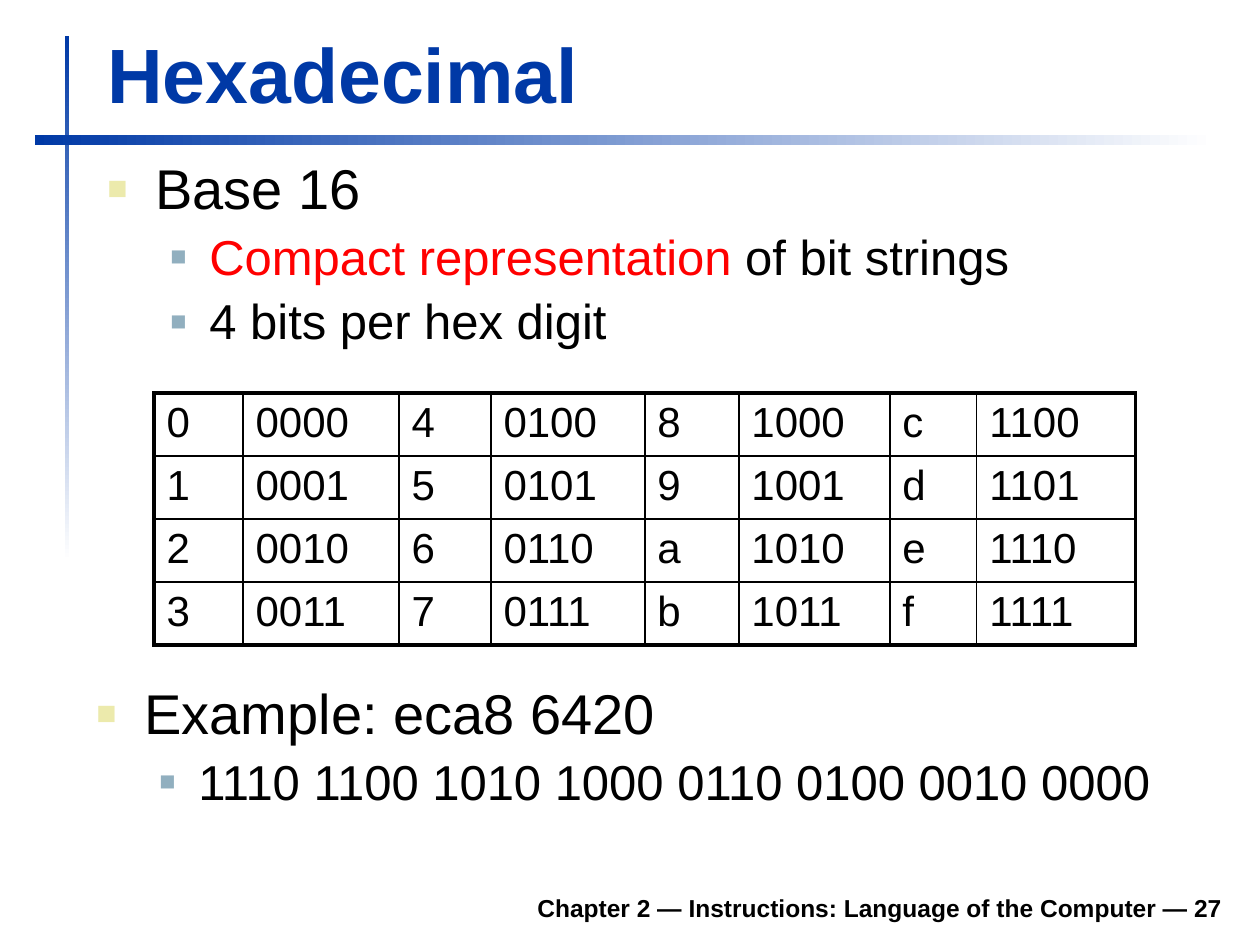
"""Builds the slide that introduces hexadecimal notation."""
from lxml import etree
from pptx import Presentation
from pptx.dml.color import RGBColor
from pptx.enum.shapes import MSO_SHAPE
from pptx.enum.text import MSO_ANCHOR, PP_ALIGN
from pptx.oxml.ns import qn
from pptx.util import Emu, Pt

RECTANGLE = MSO_SHAPE.RECTANGLE
BOTTOM = MSO_ANCHOR.BOTTOM
LEFT, RIGHT = PP_ALIGN.LEFT, PP_ALIGN.RIGHT

BLUE = RGBColor(0x00, 0x39, 0xA6)
WHITE = RGBColor(0xFF, 0xFF, 0xFF)
BLACK = RGBColor(0x00, 0x00, 0x00)
RED = RGBColor(0xFF, 0x00, 0x00)
CREAM = RGBColor(0xEC, 0xEA, 0xAC)
STEEL = RGBColor(0x91, 0xAF, 0xBF)

FONT = "Arial"
LEVELS = [
    {"size": 32, "margin": 48, "hanging": 48, "color": CREAM, "bullet": 60},
    {"size": 28, "margin": 102, "hanging": 39, "color": STEEL, "bullet": 55},
]
COLUMN_WIDTHS = [89, 156, 92, 154, 94, 151, 87, 159]
COLUMN_EDGES = [2.25, 1, 1.5, 1, 1.5, 1, 1.5, 1, 2.25]
ROW_EDGES = [2.25, 1, 1, 1, 2.25]
ROW_COUNT = 4
ROW_HEIGHT = 52


def px(length):
    """Turn pixels into EMU."""
    return Emu(round(length * 914400 / 126))


def box(*lengths):
    """Turn left, top, width and height into EMU."""
    return [px(length) for length in lengths]


def style(paragraph, size, color=BLACK, bold=False):
    """Set the font of a whole paragraph."""
    font = paragraph.font
    font.name, font.size, font.bold = FONT, Pt(size), bold
    font.color.rgb = color


def add_gradient_bar(slide, place, angle):
    """Add a bar that fades from blue to white."""
    shape = slide.shapes.add_shape(RECTANGLE, *box(*place))
    shape.shadow.inherit = False
    shape.line.fill.background()
    shape.fill.gradient()
    shape.fill.gradient_angle = angle
    for stop, color in zip(shape.fill.gradient_stops, (BLUE, WHITE)):
        stop.color.rgb = color


def add_text_frame(slide, place):
    """Add a wrapping text box and return its frame."""
    frame = slide.shapes.add_textbox(*box(*place)).text_frame
    frame.word_wrap = True
    return frame


def add_line(slide, place, text, size, color, alignment):
    """Add one bold line that rests on the bottom of its box."""
    frame = add_text_frame(slide, place)
    frame.vertical_anchor = BOTTOM
    paragraph = frame.paragraphs[0]
    paragraph.text = text
    paragraph.alignment = alignment
    style(paragraph, size, color, bold=True)


def set_bullet(paragraph, level):
    """Give a paragraph the square bullet and indent of its level."""
    properties = paragraph._p.get_or_add_pPr()
    properties.set("marL", str(px(level["margin"])))
    properties.set("indent", str(-px(level["hanging"])))
    color = etree.SubElement(properties, qn("a:buClr"))
    etree.SubElement(color, qn("a:srgbClr"), val=str(level["color"]))
    etree.SubElement(properties, qn("a:buSzPct"), val=str(level["bullet"] * 1000))
    etree.SubElement(properties, qn("a:buFont"), typeface=FONT)
    etree.SubElement(properties, qn("a:buChar"), char="■")


def add_bullets(slide, place, items):
    """Add bulleted paragraphs from (level, [(text, color), ...]) items."""
    frame = add_text_frame(slide, place)
    for index, (depth, runs) in enumerate(items):
        level = LEVELS[depth]
        paragraph = frame.add_paragraph() if index else frame.paragraphs[0]
        paragraph.level = depth
        paragraph.line_spacing = 0.9
        paragraph.space_before = Pt(6.5 if index else 0)
        set_bullet(paragraph, level)
        style(paragraph, level["size"])
        for text, color in runs:
            run = paragraph.add_run()
            run.text = text
            run.font.color.rgb = color


def set_borders(cell, row, column):
    """Draw the four borders of a cell by its place in the grid."""
    properties = cell._tc.get_or_add_tcPr()
    widths = {
        "a:lnL": COLUMN_EDGES[column],
        "a:lnR": COLUMN_EDGES[column + 1],
        "a:lnT": ROW_EDGES[row],
        "a:lnB": ROW_EDGES[row + 1],
    }
    for tag, width in widths.items():
        line = etree.SubElement(properties, qn(tag), w=str(Pt(width)))
        fill = etree.SubElement(line, qn("a:solidFill"))
        etree.SubElement(fill, qn("a:srgbClr"), val=str(BLACK))


def add_digit_table(slide, left, top):
    """Add the table of hex digits and their bit patterns."""
    place = box(left, top, sum(COLUMN_WIDTHS), ROW_HEIGHT * ROW_COUNT)
    table = slide.shapes.add_table(ROW_COUNT, len(COLUMN_WIDTHS), *place).table
    table.first_row = table.horz_banding = False
    for column, width in enumerate(COLUMN_WIDTHS):
        table.columns[column].width = px(width)
        for row in range(ROW_COUNT):
            digit = column // 2 * ROW_COUNT + row
            cell = table.cell(row, column)
            cell.text = f"{digit:04b}" if column % 2 else f"{digit:x}"
            style(cell.text_frame.paragraphs[0], 24)
            set_borders(cell, row, column)
            cell.fill.background()


def main():
    """Build and save the slide."""
    presentation = Presentation()
    presentation.slide_width, presentation.slide_height = px(1260), px(945)
    slide = presentation.slides.add_slide(presentation.slide_layouts[6])
    add_gradient_bar(slide, (65, 36, 4, 525), 270)
    add_gradient_bar(slide, (35, 135, 1180, 10), 0)
    add_line(slide, (233, 880, 1002, 49),
             "Chapter 2 — Instructions: Language of the Computer — 27",
             14, BLACK, RIGHT)
    add_line(slide, (95, 20, 1138, 105), "Hexadecimal", 44, BLUE, LEFT)
    add_bullets(slide, (95, 155, 1140, 218), [
        (0, [("Base 16", BLACK)]),
        (1, [("Compact representation ", RED), ("of bit strings", BLACK)]),
        (1, [("4 bits per hex digit", BLACK)]),
    ])
    add_digit_table(slide, 154, 393)
    add_bullets(slide, (84, 680, 1140, 159), [
        (0, [("Example: eca8 6420", BLACK)]),
        (1, [("1110 1100 1010 1000 0110 0100 0010 0000", BLACK)]),
    ])


    presentation.save("out.pptx")


if __name__ == "__main__":
    main()
